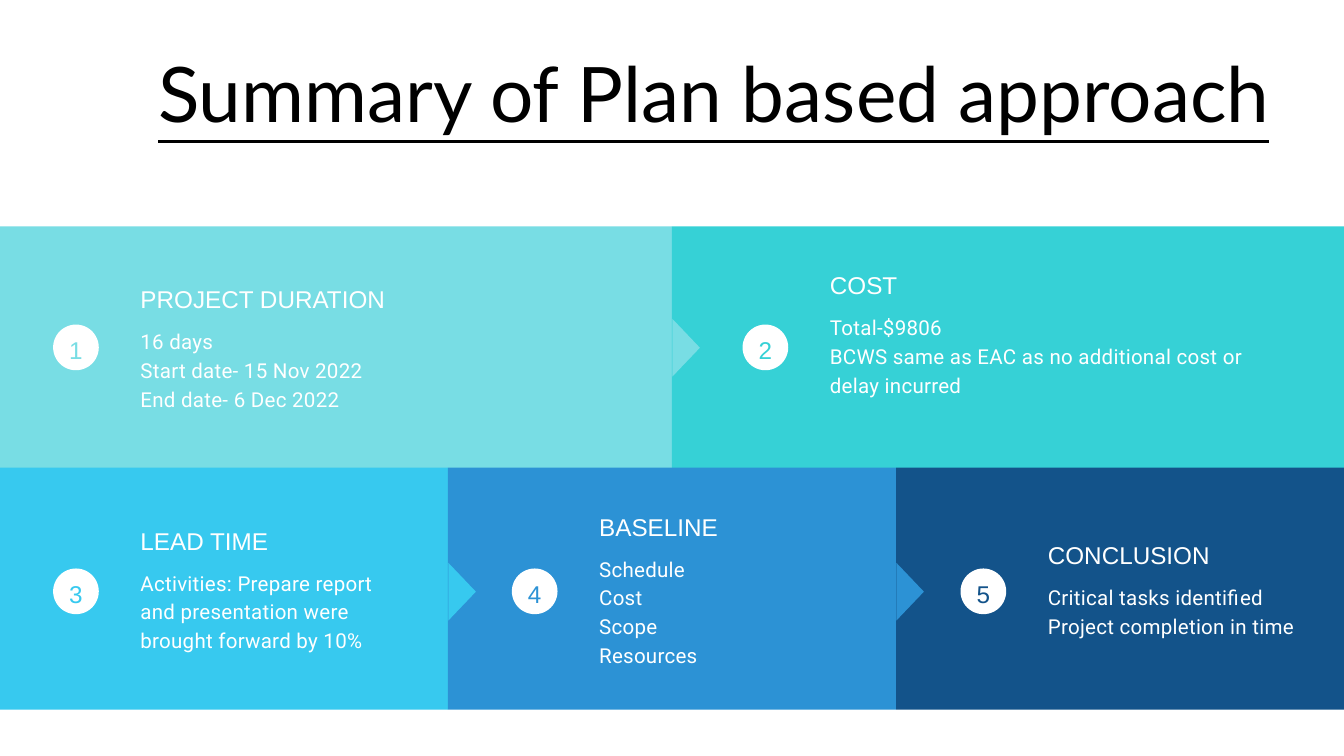
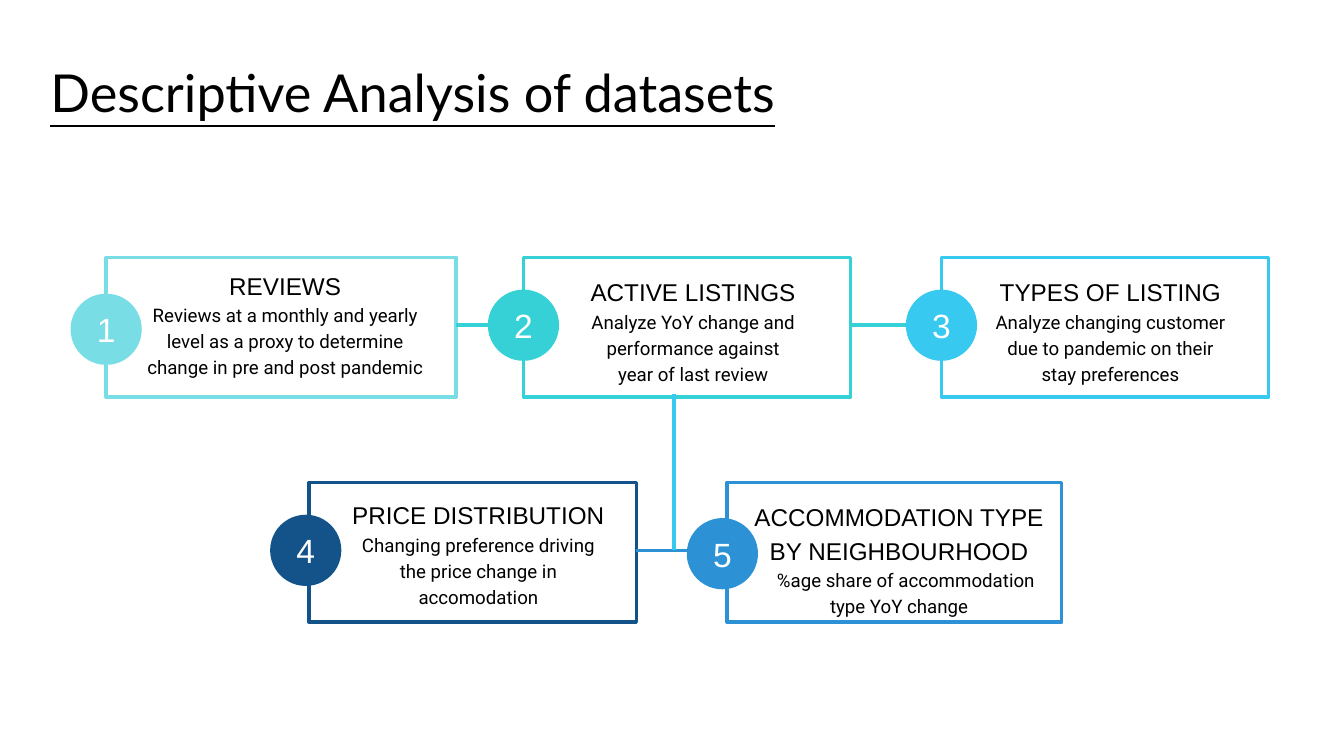
from dataclasses import dataclass

import pptx
import pptx.dml.color
import pptx.enum.shapes
import pptx.enum.text
import pptx.oxml.ns
import pptx.util
from lxml import etree

SCALE = 9144
SHAPE = pptx.enum.shapes.MSO_SHAPE
ALIGN = pptx.enum.text.PP_ALIGN
ANCHOR = pptx.enum.text.MSO_ANCHOR


@dataclass(frozen=True)
class Style:
    size: int
    font: str
    lead: float
    color: str
    space: int = 0
    under: bool = False


class Theme:
    white = "FFFFFF"
    black = "000000"
    pale = "78DDE4"
    teal = "36D1D6"
    sky = "37C9EF"
    blue = "2C92D5"
    navy = "13538A"
    line = 3.75
    large = Style(82, "Lato", 57.2, black, under=True)
    title = Style(56, "Lato", 72.8, black, under=True)
    label = Style(26, "Arial", 33.8, white)
    detail = Style(22, "Roboto", 30.8, white, space=30)
    head = Style(26, "Arial", 36.4, black)
    body = Style(20, "Roboto", 28, black)

    @staticmethod
    def small(color):
        return Style(26, "Arial", 36.4, color)

    digit = Style(36, "Arial", 50.4, white)


def px(*values):
    return [round(value * SCALE) for value in values]


def rgb(color):
    return pptx.dml.color.RGBColor.from_string(color)


def write(frame, lines, align=ALIGN.LEFT, anchor=ANCHOR.TOP, inset=0, foot=0):
    frame.word_wrap = True
    frame.vertical_anchor = anchor
    frame.margin_left, frame.margin_top, frame.margin_right = px(inset, inset, inset)
    frame.margin_bottom = px(inset + foot)[0]
    for place, (words, style) in enumerate(lines):
        para = frame.add_paragraph() if place else frame.paragraphs[0]
        para.text = words
        para.alignment = align
        para.line_spacing = pptx.util.Pt(style.lead)
        font = para.font
        font.size = pptx.util.Pt(style.size)
        font.name = style.font
        font.color.rgb = rgb(style.color)
        if style.under:
            font.underline = True
        if style.space:
            font._rPr.set("spc", str(style.space))
    return frame


def text(slide, box, lines, **layout):
    return write(slide.shapes.add_textbox(*px(*box)).text_frame, lines, **layout)


def shape(slide, kind, box, fill, line=None):
    item = slide.shapes.add_shape(kind, *px(*box))
    item.shadow.inherit = False
    item.fill.solid()
    item.fill.fore_color.rgb = rgb(fill)
    if line:
        item.line.color.rgb = rgb(line)
        item.line.width = pptx.util.Pt(Theme.line)
    else:
        item.line.fill.background()
    return item


def badge(slide, number, mid, size, fill, style, foot):
    x, y = mid
    disc = shape(slide, SHAPE.OVAL, (x - size / 2, y - size / 2, size, size), fill)
    write(disc.text_frame, [(str(number), style)], ALIGN.CENTER, ANCHOR.MIDDLE, foot=foot)


def link(slide, start, end, color):
    item = slide.shapes.add_connector(
        pptx.enum.shapes.MSO_CONNECTOR.STRAIGHT, *px(*start, *end))
    item.line.color.rgb = rgb(color)
    item.line.width = pptx.util.Pt(Theme.line)
    etree.SubElement(item._element.spPr, pptx.oxml.ns.qn("a:effectLst"))


def title(slide, box, words, style):
    text(slide, box, [(words, style)], align=ALIGN.CENTER)


def panel(slide, number, color, box, mid, disc, width, rows, head, lines):
    left, top, wide, high = box
    badge(slide, number, (left + disc, mid), 68, Theme.white, Theme.small(color), 0)
    tall = rows * 42
    start = top + high / 2 - 2 - (64 + tall) / 2
    x = left + disc + 96
    text(slide, (x, start, width, 46), [(head, Theme.label)])
    text(slide, (x, start + 64, width, tall), [(line, Theme.detail) for line in lines])


def tip(slide, edge, mid, color):
    item = shape(slide, SHAPE.ISOSCELES_TRIANGLE, (edge - 22, mid - 20, 86, 41), color)
    item.rotation = 90


def summary(slide):
    t = Theme
    bands = [
        (337, 517, [
            (t.pale, 113, 661, 3, "PROJECT DURATION",
             ["16 days", "Start date- 15 Nov 2022", "End date- 6 Dec 2022"]),
            (t.teal, 139, 661, 4, "COST",
             ["Total-$9806",
              "BCWS same as EAC as no additional cost or delay incurred"]),
        ]),
        (696, 880, [
            (t.sky, 113, 357, 3, "LEAD TIME",
             ["Activities: Prepare report and presentation were brought forward by 10%"]),
            (t.blue, 129, 357, 4, "BASELINE",
             ["Schedule", "Cost", "Scope", "Resources"]),
            (t.navy, 130, 386, 2, "CONCLUSION",
             ["Critical tasks identified", "Project completion in time"]),
        ]),
    ]
    number = 0
    for top, mid, cards in bands:
        wide = 2000 / len(cards)
        for col, card in enumerate(cards):
            shape(slide, SHAPE.RECTANGLE, (col * wide, top, wide, 360), card[0])
        for col, (color, *rest) in enumerate(cards):
            number += 1
            if col < len(cards) - 1:
                tip(slide, (col + 1) * wide, mid, color)
            panel(slide, number, color, (col * wide, top, wide, 360), mid, *rest)
    title(slide, (78, 125, 1968, 94), "Summary of Plan based approach", t.large)


def datasets(slide):
    t = Theme
    cards = [
        (t.pale, (158, 383, 521), (158, 490), (203, 365, 443, 229), "REVIEWS",
         ["Reviews at a monthly and yearly", "level as a proxy to determine",
          "change in pre and post pandemic"]),
        (t.teal, (779, 383, 487), (779, 484), (752, 309, 559, 361), "ACTIVE LISTINGS",
         ["Analyze YoY change and", "performance against", "year of last review"]),
        (t.sky, (1401, 383, 487), (1401, 484), (1410, 309, 485, 361), "TYPES OF LISTING",
         ["Analyze changing customer", "due to pandemic on their", "stay preferences"]),
        (t.navy, (460, 718, 487), (455, 819), (449, 641, 526, 361), "PRICE DISTRIBUTION",
         ["Changing preference driving", "the price change in", "accomodation"]),
        (t.blue, (1082, 718, 498), (1075, 824), (1104, 649, 468, 361),
         "ACCOMMODATION TYPE BY NEIGHBOURHOOD",
         ["%age share of accommodation type YoY change"]),
    ]
    for color, box, mid, area, head, lines in cards:
        shape(slide, SHAPE.RECTANGLE, (*box, 208), t.white, color)
        frame = text(slide, area, [(head, t.head)] + [(line, t.body) for line in lines],
                     align=ALIGN.CENTER, anchor=ANCHOR.MIDDLE, inset=6)
    frame.paragraphs[-1]._p.get_or_add_pPr().set("indent", str(px(20)[0]))
    for left, right, y, color in [(679, 779, 484, t.teal), (1266, 1401, 484, t.teal),
                                  (947, 1082, 819, t.blue)]:
        link(slide, (left, y), (right, y), color)
    for number, (color, box, mid, *rest) in enumerate(cards, 1):
        badge(slide, number, mid, 106, color, t.digit, 10)
    title(slide, (-38, 82, 1304, 98), "Descriptive Analysis of datasets", t.title)
    link(slide, (1003, 819), (1003, 586), t.sky)


def main():
    deck = pptx.Presentation()
    deck.slide_width, deck.slide_height = px(2000, 1125)
    for build in (summary, datasets):
        build(deck.slides.add_slide(deck.slide_layouts[6]))
    deck.save("out.pptx")


if __name__ == "__main__":
    main()
